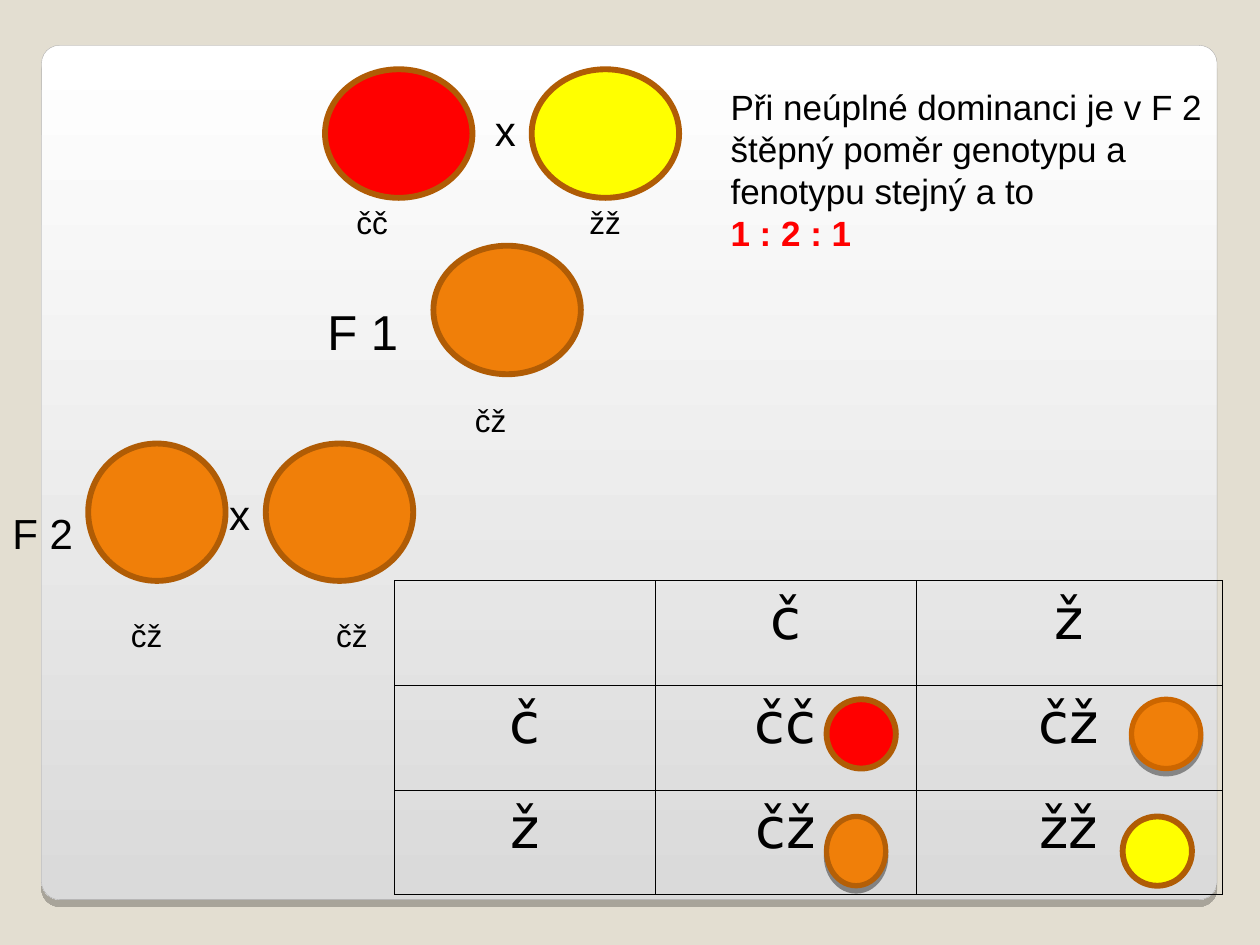
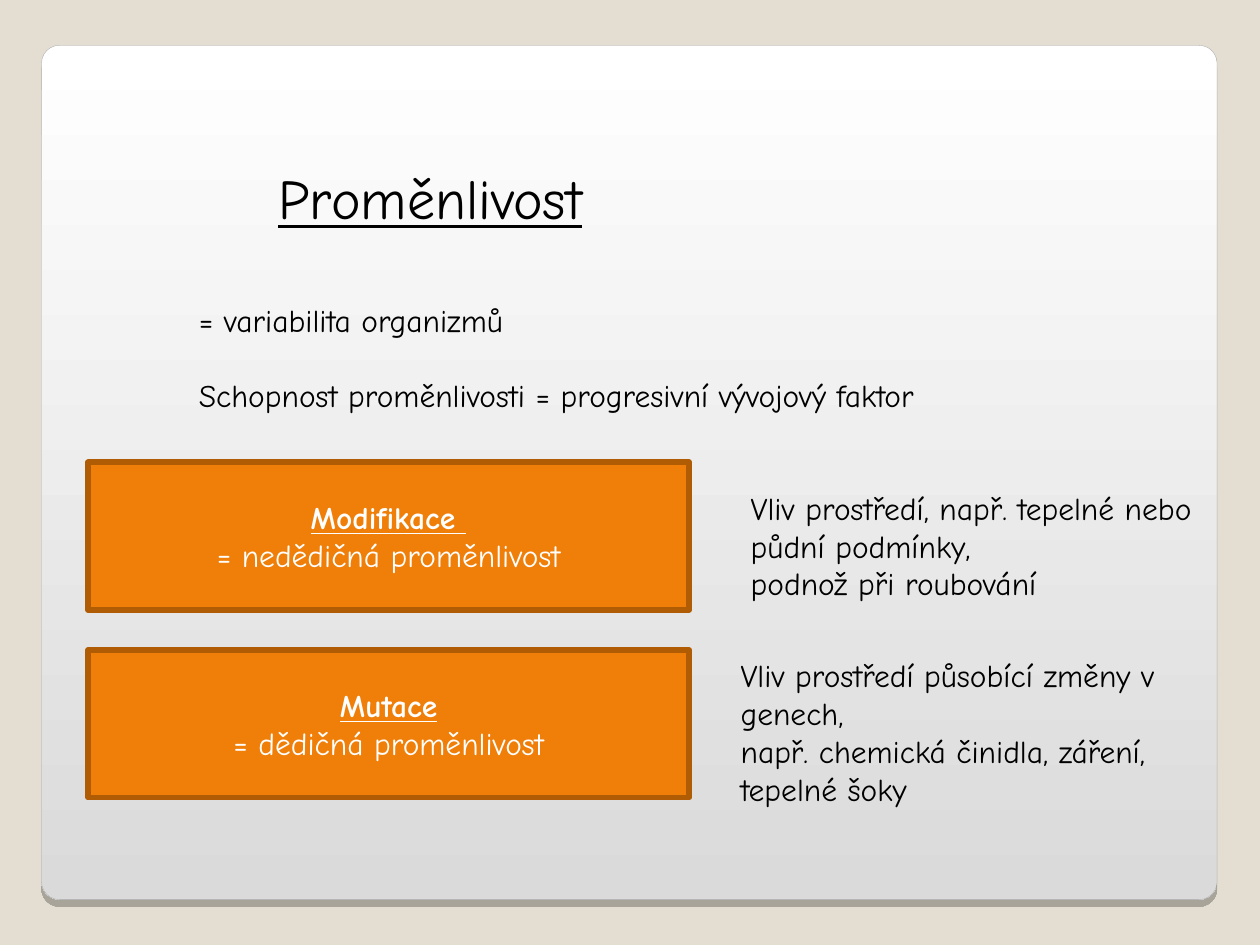
from lxml import etree
from pptx import Presentation, util as u
from pptx.dml.color import RGBColor
from pptx.enum import shapes, text
from pptx.oxml import parse_xml
from pptx.oxml.ns import nsdecls, qn

# Colours and fonts
SAND = RGBColor(0xE3, 0xDE, 0xD1)
WHITE = RGBColor(0xFF, 0xFF, 0xFF)
SILVER = RGBColor(0xDA, 0xDA, 0xDA)
GREY = RGBColor(0xA4, 0xA3, 0xA3)
BLACK = RGBColor(0, 0, 0)
RED = RGBColor(0xFF, 0, 0)
YELLOW = RGBColor(0xFF, 0xFF, 0)
ORANGE = RGBColor(0xF0, 0x7F, 0x09)
BROWN = RGBColor(0xB0, 0x5C, 0x05)
SOFT_BROWN = RGBColor(0xB4, 0x5F, 0x07)
BRIGHT_BROWN = RGBColor(0xCC, 0x66, 0x00)
PLAIN, HAND, GRID = "Arial", "Comic Neue", "DejaVu Sans"
OUTLINE = 3.34

# Slide 1: crossing; circles are (left, top, width, height, fill)
PARENTS_AND_HYBRIDS = [
    (2.58, 0.55, 1.17, 1.02, RED),
    (4.22, 0.55, 1.17, 1.02, YELLOW),
    (3.44, 1.95, 1.17, 1.02, ORANGE),
    (0.7, 3.52, 1.09, 1.09, ORANGE),
    (2.11, 3.52, 1.17, 1.09, ORANGE),
]
# Offspring circles add line colour, line width and whether a shadow falls
OFFSPRING = [
    (6.56, 5.55, 0.55, 0.55, RED, BROWN, OUTLINE, False),
    (6.56, 6.48, 0.47, 0.55, ORANGE, SOFT_BROWN, 3, True),
    (8.98, 5.55, 0.55, 0.55, ORANGE, BRIGHT_BROWN, 3, True),
    (8.91, 6.48, 0.55, 0.55, YELLOW, BROWN, OUTLINE, False),
]
# Labels are (text, left, top, width, height, size)
LABELS = [
    ("čč", 2.73, 1.56, 0.78, 0.4, 18),
    ("žž", 4.58, 1.56, 0.78, 0.4, 18),
    ("čž", 3.67, 3.13, 0.78, 0.4, 18),
    ("čž", 0.94, 4.84, 0.78, 0.4, 18),
    ("čž", 2.57, 4.84, 0.78, 0.4, 18),
    ("x", 3.83, 0.78, 0.39, 0.5, 24),
    ("x", 1.72, 3.83, 0.31, 0.5, 24),
    ("F 1", 2.5, 2.34, 0.78, 0.57, 28),
    ("F 2", 0, 3.98, 1.09, 0.5, 24),
]
RATIO_LINES = [
    ("Při neúplné dominanci je v F 2", {}),
    ("štěpný poměr genotypu a fenotypu stejný a to", {}),
    ("1 : 2 : 1", {"bold": True, "color": RED}),
]
GAMETES = ["č", "ž"]
COLUMN_WIDTHS = [2.07, 2.07, 2.43]
ROW_HEIGHT = 0.83

# Slide 2: variability
TITLE = "Proměnlivost"
DEFINITION = [
    ("= variabilita organizmů", {}),
    ("Schopnost proměnlivosti = progresivní vývojový faktor", {"before": 21.5}),
]
# Each kind: box top, name, meaning, note place, note lines
KINDS = [
    (3.67, "Modifikace ", "= nedědičná proměnlivost", (5.86, 3.83, 3.91, 1),
     ["Vliv prostředí, např. tepelné nebo půdní podmínky,",
      "podnož při roubování"]),
    (5.16, "Mutace", "= dědičná proměnlivost", (5.78, 5.16, 3.83, 1.3),
     ["Vliv prostředí působící změny v genech,",
      "např. chemická činidla, záření, tepelné šoky"]),
]


def inches(*values):
    return [u.Inches(value) for value in values]


def write(frame, lines, size, font, color=BLACK, align=text.PP_ALIGN.LEFT,
          anchor=text.MSO_ANCHOR.TOP):
    """Fill a text frame with (text, format) lines, one paragraph each."""
    layout = {"word_wrap": True, "auto_size": text.MSO_AUTO_SIZE.NONE,
              "vertical_anchor": anchor}
    for name, value in layout.items():
        setattr(frame, name, value)
    for index, (words, extra) in enumerate(lines):
        para = frame.add_paragraph() if index else frame.paragraphs[0]
        para.alignment = align
        style = {"size": u.Pt(size), "name": font, "bold": False, **extra}
        if "before" in style:
            para.space_before = u.Pt(style.pop("before"))
        span = para.add_run()
        span.text = words
        span.font.color.rgb = style.pop("color", color)
        for name, value in style.items():
            setattr(span.font, name, value)


def add_text(page, place, lines, size, font):
    box = page.shapes.add_textbox(*inches(*place))
    write(box.text_frame, lines, size, font)


def add_figure(page, kind, place, fill, line=BROWN, width=OUTLINE):
    figure = page.shapes.add_shape(kind, *inches(*place))
    figure.shadow.inherit = False
    if fill is not None:
        figure.fill.solid()
        figure.fill.fore_color.rgb = fill
    figure.line.color.rgb = line
    figure.line.width = u.Pt(width)
    return figure


def drop_shadow(figure, distance, opacity):
    effects = figure.element.spPr.find(qn("a:effectLst"))
    effects.append(parse_xml(
        f'<a:outerShdw {nsdecls("a")} blurRad="0" dist="{u.Pt(distance)}" '
        f'dir="5400000" algn="t" rotWithShape="0"><a:srgbClr val="000000">'
        f'<a:alpha val="{opacity * 1000}"/></a:srgbClr></a:outerShdw>'))


def border_cell(cell):
    properties = cell._tc.get_or_add_tcPr()
    for index, side in enumerate(("lnL", "lnR", "lnT", "lnB")):
        edge = parse_xml(
            f'<a:{side} {nsdecls("a")} w="{u.Pt(0.45)}"><a:solidFill>'
            f'<a:srgbClr val="{BLACK}"/></a:solidFill></a:{side}>')
        properties.insert(index, edge)


def set_master(deck, page):
    """Give every slide the sand background and the raised panel."""
    master = deck.slide_master
    master.background.fill.solid()
    master.background.fill.fore_color.rgb = SAND
    panel = add_figure(page, shapes.MSO_SHAPE.ROUNDED_RECTANGLE,
                       (0.33, 0.36, 9.33, 6.78), None, GREY, 0.17)
    panel.adjustments[0] = 0.021
    panel.fill.gradient()
    panel.fill.gradient_angle = 270
    for stop, place, color in zip(panel.fill.gradient_stops, (0, 1), (WHITE, SILVER)):
        stop.position = place
        stop.color.rgb = color
    drop_shadow(panel, 4, 25)
    master.shapes.element.insert(2, panel.element)


def add_punnett_square(page):
    count = len(GAMETES) + 1
    place = inches(3.13, 4.61, sum(COLUMN_WIDTHS), ROW_HEIGHT * count)
    table = page.shapes.add_table(count, count, *place).table
    table.first_row = table.horz_banding = False
    for column, width in zip(table.columns, COLUMN_WIDTHS):
        column.width = u.Inches(width)
    for row in table.rows:
        row.height = u.Inches(ROW_HEIGHT)
    heads = [""] + GAMETES
    for i, row_gamete in enumerate(heads):
        for j, column_gamete in enumerate(heads):
            cell = table.cell(i, j)
            cell.fill.background()
            border_cell(cell)
            genotype = "".join(sorted(row_gamete + column_gamete))
            if genotype:
                para = cell.text_frame.paragraphs[0]
                para.alignment = text.PP_ALIGN.CENTER
                span = para.add_run()
                span.text = genotype
                span.font.color.rgb = BLACK
                for name, value in {"size": u.Pt(32), "name": GRID, "bold": False}.items():
                    setattr(span.font, name, value)


def build_crossing(page):
    oval = shapes.MSO_SHAPE.OVAL
    for *place, fill in PARENTS_AND_HYBRIDS:
        add_figure(page, oval, place, fill)
    add_punnett_square(page)
    for *place, fill, line, width, shaded in OFFSPRING:
        circle = add_figure(page, oval, place, fill, line, width)
        if shaded:
            drop_shadow(circle, 3, 40)
    for words, *place, size in LABELS:
        add_text(page, place, [(words, {})], size, PLAIN)
    add_text(page, (5.7, 0.63, 4.3, 1.44), RATIO_LINES, 20, PLAIN)


def build_variability(page):
    title = page.shapes.title
    title.left, title.top, title.width, title.height = inches(2.11, 1.25, 6.33, 0.64)
    write(title.text_frame, [(TITLE, {"underline": True})], 32, HAND)
    add_text(page, (1.48, 2.34, 7.73, 1), DEFINITION, 18, HAND)
    for top, name, meaning, note_place, note in KINDS:
        box = add_figure(page, shapes.MSO_SHAPE.RECTANGLE, (0.7, top, 4.77, 1.17), ORANGE)
        lines = [(name, {"bold": True, "underline": True}), (meaning, {})]
        write(box.text_frame, lines, 18, HAND, WHITE,
              text.PP_ALIGN.CENTER, text.MSO_ANCHOR.MIDDLE)
        add_text(page, note_place, [(words, {}) for words in note], 18, HAND)


def main():
    deck = Presentation()
    deck.slide_width, deck.slide_height = inches(10, 7.5)
    blank, title_only = deck.slide_layouts[6], deck.slide_layouts[5]
    crossing = deck.slides.add_slide(blank)
    set_master(deck, crossing)
    build_crossing(crossing)
    build_variability(deck.slides.add_slide(title_only))
    deck.save("out.pptx")


if __name__ == "__main__":
    main()
